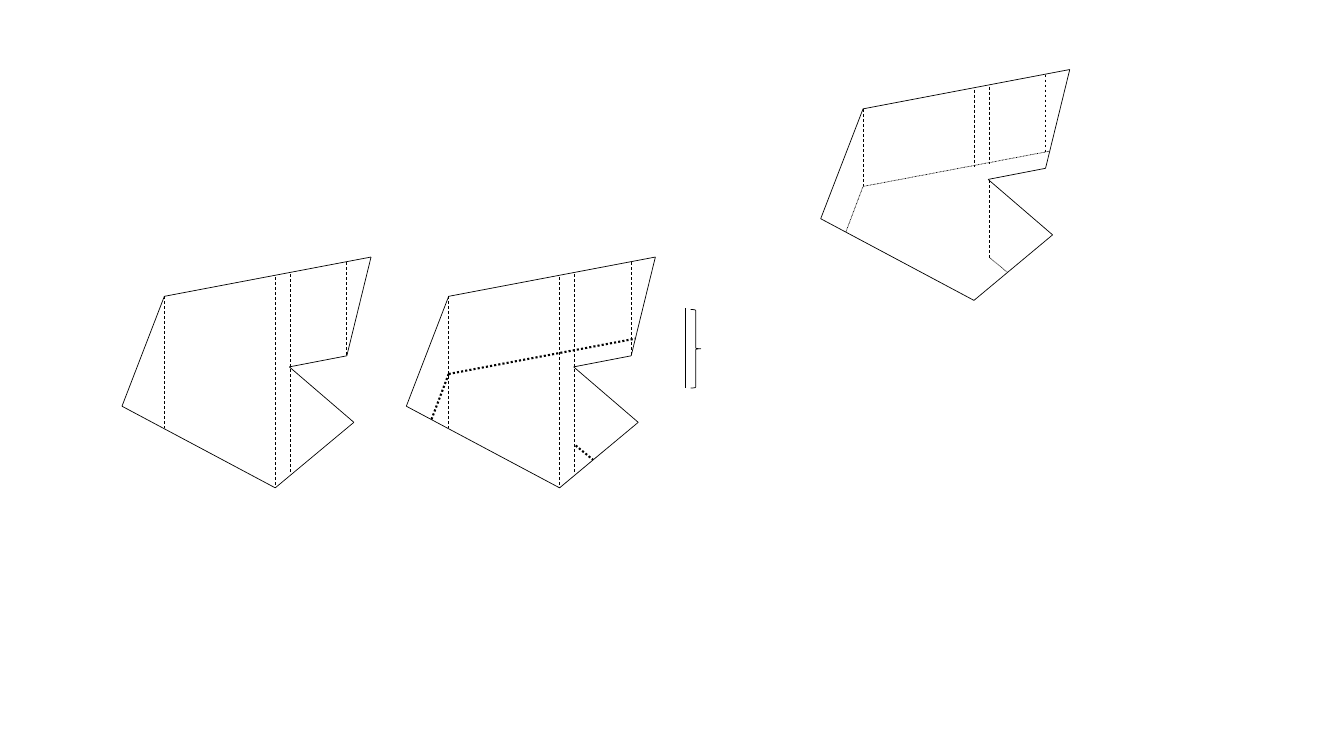
from itertools import pairwise

from pptx import Presentation
from pptx.dml.color import RGBColor
from pptx.enum.dml import MSO_LINE
from pptx.enum.shapes import MSO_CONNECTOR, MSO_SHAPE
from pptx.oxml.ns import qn
from pptx.util import Inches, Pt
from lxml import etree

STRAIGHT = MSO_CONNECTOR.STRAIGHT
RIGHT_BRACE = MSO_SHAPE.RIGHT_BRACE
DASH = MSO_LINE.DASH
DOT = MSO_LINE.ROUND_DOT  # saved as sysDot
COLORS = {"ink": "000000"}
THIN, MEDIUM, THICK = 0.5, 1, 1.5

# Polygon geometry, in inches from the figure's top left corner
OUTLINE = [(0, 1.48), (1.52, 2.29), (2.3, 1.64), (1.66, 1.09),
           (2.23, 0.98), (2.47, 0), (0.42, 0.39), (0, 1.48)]
# x, top and bottom of the vertical through each vertex
VERTICALS = [(0.42, 0.39, 1.7), (1.52, 0.2, 2.29),
             (1.67, 0.17, 2.15), (2.23, 0.05, 0.98)]
OFFSET_CURVES = [[(0.25, 1.61), (0.42, 1.16), (2.27, 0.81)],
                 [(1.68, 1.87), (1.85, 2.01)]]
NOTCH_X, NOTCH_Y = 1.67, 1.1
OFFSET = 0.77

FIRST_FIGURE = (1.21, 2.55)
SECOND_FIGURE = (4.03, 2.55)
THIRD_FIGURE = (8.14, 0.69)


class Drawing:
    def __init__(self, slide):
        self.slide = slide

    def style_line(self, line, width, dash=None):
        line.color.rgb = RGBColor.from_string(COLORS["ink"])
        line.width = Pt(width)
        if dash is not None:
            line.dash_style = dash

    def polyline(self, points, origin=(0, 0), width=THIN, dash=None):
        """Join consecutive points, given relative to origin, with connectors."""
        left, top = origin
        for (x1, y1), (x2, y2) in pairwise(points):
            connector = self.slide.shapes.add_connector(
                STRAIGHT, Inches(left + x1), Inches(top + y1),
                Inches(left + x2), Inches(top + y2))
            self.style_line(connector.line, width, dash)
            etree.SubElement(connector._element.spPr, qn("a:effectLst"))

    def outline(self, origin):
        self.polyline(OUTLINE, origin)

    def verticals(self, origin, segments):
        for x, top, bottom in segments:
            self.polyline([(x, top), (x, bottom)], origin, dash=DASH)

    def offset_curves(self, origin, width):
        for points in OFFSET_CURVES:
            self.polyline(points, origin, width, DOT)

    def brace(self, left, top, width, height):
        shape = self.slide.shapes.add_shape(
            RIGHT_BRACE, Inches(left), Inches(top), Inches(width), Inches(height))
        shape.shadow.inherit = False
        shape.fill.background()
        self.style_line(shape.line, THIN)


def main():
    presentation = Presentation()
    presentation.slide_width = Inches(13.33)
    presentation.slide_height = Inches(7.5)
    blank_layout = presentation.slide_layouts[6]
    drawing = Drawing(presentation.slides.add_slide(blank_layout))

    for origin in (FIRST_FIGURE, SECOND_FIGURE, THIRD_FIGURE):
        drawing.outline(origin)
    for origin in (FIRST_FIGURE, SECOND_FIGURE):
        drawing.verticals(origin, VERTICALS)

    offset_segments = [(x, top, top + OFFSET) for x, top, _ in VERTICALS]
    offset_segments.append((NOTCH_X, NOTCH_Y, NOTCH_Y + OFFSET))
    drawing.verticals(THIRD_FIGURE, offset_segments)

    drawing.offset_curves(SECOND_FIGURE, THICK)
    drawing.offset_curves(THIRD_FIGURE, THIN)

    drawing.polyline([(6.8, 3.06), (6.8, 3.85)], width=MEDIUM)
    drawing.brace(6.85, 3.07, 0.1, 0.78)

    presentation.save("out.pptx")


if __name__ == "__main__":
    main()
